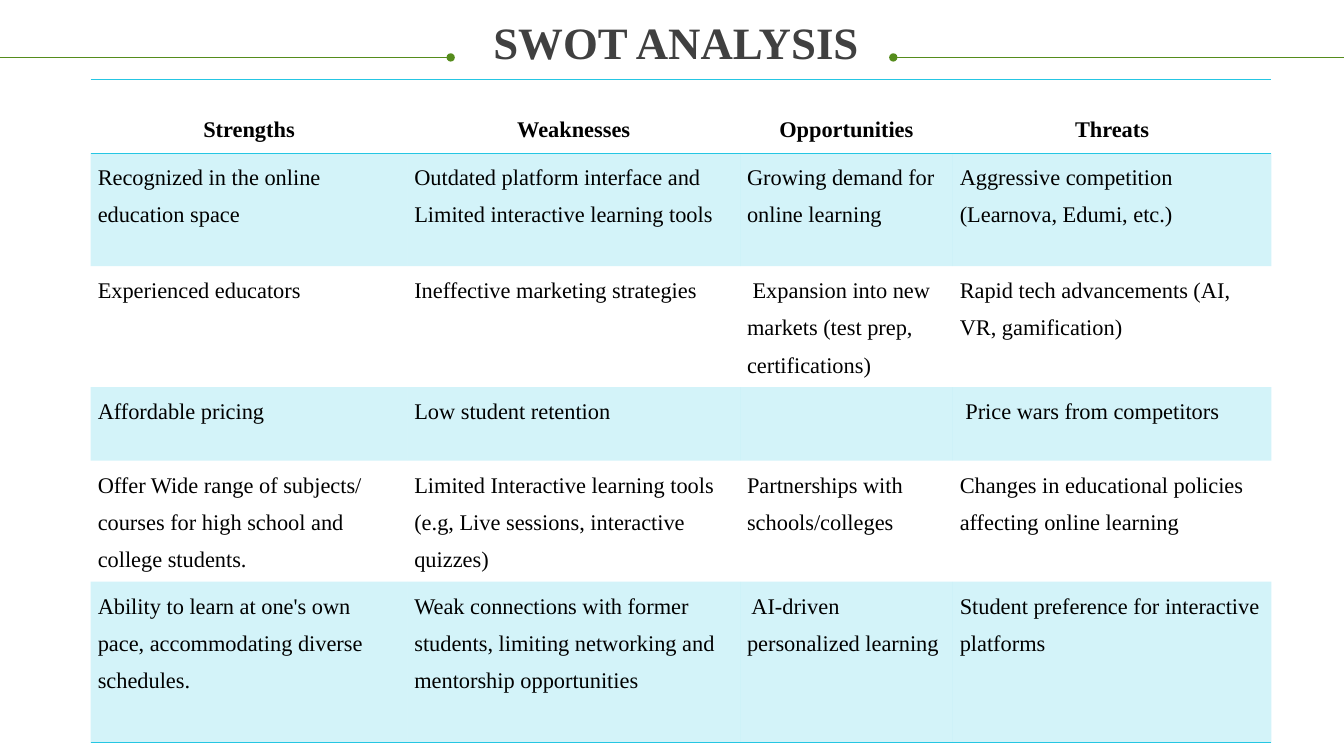
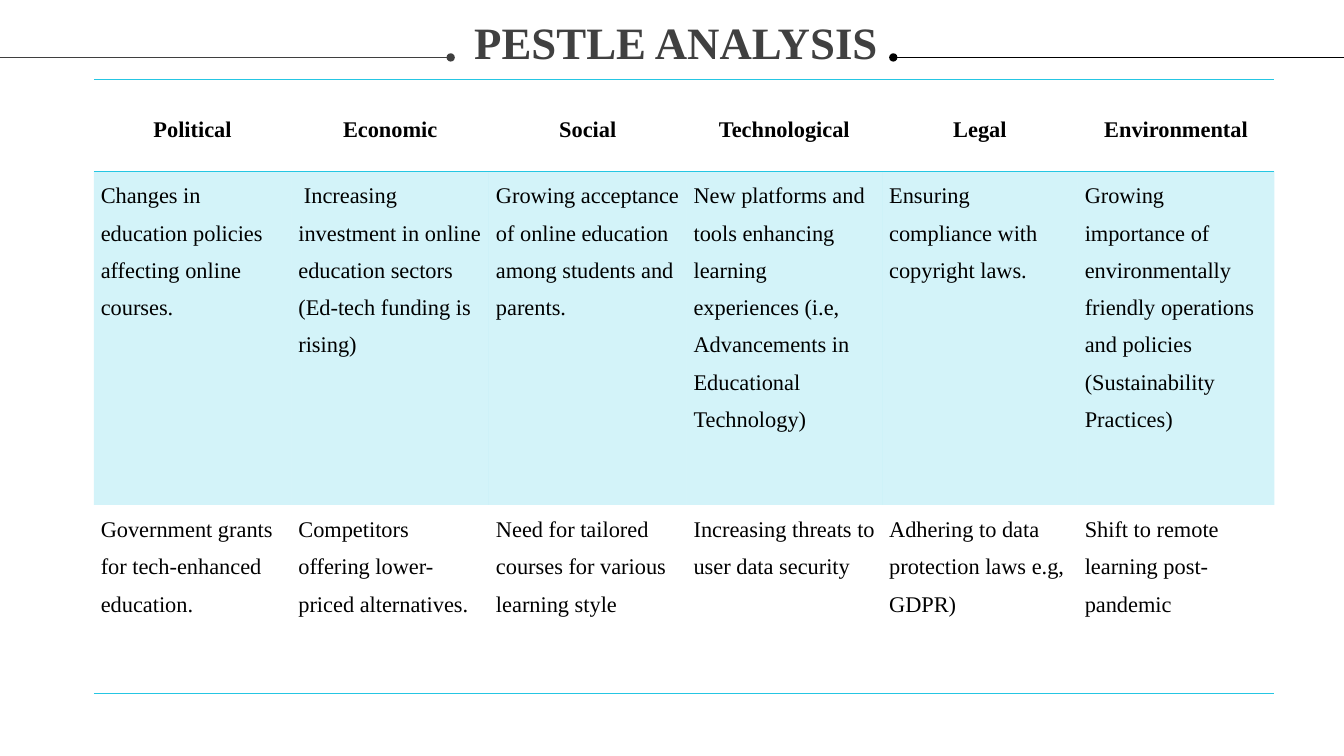
from lxml import etree
from pptx import Presentation
from pptx.dml.color import RGBColor
from pptx.enum.shapes import MSO_CONNECTOR
from pptx.enum.text import PP_ALIGN
from pptx.oxml.ns import qn
from pptx.util import Inches, Pt

STRAIGHT = MSO_CONNECTOR.STRAIGHT
LEFT, CENTER = PP_ALIGN.LEFT, PP_ALIGN.CENTER

BLACK = RGBColor(0x00, 0x00, 0x00)
CHARCOAL = RGBColor(0x3F, 0x3F, 0x3F)
TITLE_GRAY = RGBColor(0x40, 0x40, 0x40)
GREEN = RGBColor(0x55, 0x8C, 0x1C)
CYAN = RGBColor(0x25, 0xC6, 0xE3)

FONT = "Times New Roman"
NO_STYLE = "{2D5ABB26-0587-4C30-8999-92F81FD0307C}"
BAND_ALPHA = "20000"
SLIDE_W, SLIDE_H = 13.33, 7.5
RULE_Y, RULE_W = 0.57, 4.47
TABLE_TOP = 0.79

SWOT = [
    ["Strengths", "Weaknesses", "Opportunities", "Threats"],
    ["Recognized in the online education space",
     "Outdated platform interface and Limited interactive learning tools",
     "Growing demand for online learning",
     "Aggressive competition (Learnova, Edumi, etc.)"],
    ["Experienced educators",
     "Ineffective marketing strategies",
     " Expansion into new markets (test prep, certifications)",
     "Rapid tech advancements (AI, VR, gamification)"],
    ["Affordable pricing", "Low student retention", "",
     " Price wars from competitors"],
    ["Offer Wide range of subjects/ courses for high school and college students.",
     "Limited Interactive learning tools (e.g, Live sessions, interactive quizzes)",
     "Partnerships with schools/colleges",
     "Changes in educational policies affecting online learning"],
    ["Ability to learn at one's own pace, accommodating diverse schedules.",
     "Weak connections with former students, limiting networking and "
     "mentorship opportunities",
     " AI-driven personalized learning",
     "Student preference for interactive platforms"],
]

PESTLE = [
    ["Political", "Economic", "Social", "Technological", "Legal", "Environmental"],
    ["Changes in education policies affecting online courses.",
     " Increasing investment in online education sectors (Ed-tech funding is rising)",
     "Growing acceptance of online education among students and parents.",
     "New platforms and tools enhancing learning experiences (i.e, "
     "Advancements in Educational Technology)",
     "Ensuring compliance with copyright laws.",
     "Growing importance of environmentally friendly operations and policies "
     "(Sustainability Practices)"],
    ["Government grants for tech-enhanced education.",
     "Competitors offering lower-priced alternatives.",
     "Need for tailored courses for various learning style",
     "Increasing threats to user data security",
     "Adhering to data protection laws e.g, GDPR)",
     "Shift to remote learning post-pandemic"],
]


def write(tf, text, size=16, color=BLACK, bold=False, align=LEFT, spacing=1.5):
    """Put one formatted paragraph in a text frame."""
    p = tf.paragraphs[0]
    p.alignment = align
    p.line_spacing = spacing
    r = p.add_run()
    r.text = text
    r.font.name = FONT
    r.font.size = Pt(size)
    r.font.bold = bold
    r.font.color.rgb = color


def add_rule(s, x_edge, x_dot, color):
    """Draw a line from the slide edge to a dot beside the title."""
    line = s.shapes.add_connector(STRAIGHT, Inches(x_edge), Inches(RULE_Y),
                                  Inches(x_dot), Inches(RULE_Y))
    line.line.color.rgb = color
    line.line.width = Pt(0.5)
    etree.SubElement(line.line._get_or_add_ln(), qn("a:tailEnd"), type="oval")
    etree.SubElement(line._element.spPr, qn("a:effectLst"))


def add_title(s, text, left_color, right_color):
    """Add the centred title between its two dotted rules."""
    add_rule(s, 0, RULE_W, left_color)
    add_rule(s, SLIDE_W, SLIDE_W - RULE_W, right_color)
    box = s.shapes.add_textbox(Inches(0.29), Inches(0.21), Inches(12.83), Inches(0.5))
    tf = box.text_frame
    tf.word_wrap = True
    tf.margin_left = tf.margin_top = tf.margin_right = tf.margin_bottom = 0
    write(tf, text, size=32, color=TITLE_GRAY, bold=True, align=CENTER, spacing=0.9)


def add_border(cell, side):
    """Draw a cyan border on one side of a cell: lnT or lnB."""
    ln = etree.SubElement(cell._tc.get_or_add_tcPr(), qn("a:" + side), w=str(Pt(1)))
    fill = etree.SubElement(ln, qn("a:solidFill"))
    etree.SubElement(fill, qn("a:srgbClr"), val=str(CYAN))


def fill_cell(cell, banded):
    """Tint the cell, or leave it clear."""
    if not banded:
        cell.fill.background()
        return
    cell.fill.solid()
    cell.fill.fore_color.rgb = CYAN
    color = cell._tc.tcPr.find(".//" + qn("a:solidFill") + "/" + qn("a:srgbClr")) \
        if cell._tc.tcPr.find(qn("a:lnB")) is None \
        else cell._tc.tcPr.find(qn("a:solidFill") + "/" + qn("a:srgbClr"))
    etree.SubElement(color, qn("a:alpha"), val=BAND_ALPHA)


def add_grid(s, left, widths, heights, rows):
    """Add a table with a bold header, tinted odd rows and cyan rules."""
    frame = s.shapes.add_table(len(rows), len(widths), Inches(left), Inches(TABLE_TOP),
                               Inches(sum(widths)), Inches(sum(heights)))
    table = frame.table
    table.first_row = table.horz_banding = False
    table._tbl.tblPr.find(qn("a:tableStyleId")).text = NO_STYLE
    for column, width in zip(table.columns, widths):
        column.width = Inches(width)
    for i, (height, texts) in enumerate(zip(heights, rows)):
        table.rows[i].height = Inches(height)
        header = i == 0
        for j, text in enumerate(texts):
            cell = table.cell(i, j)
            cell.margin_left = cell.margin_right = Inches(0.07)
            cell.margin_top = Inches(0.25 if header else 0)
            cell.margin_bottom = 0
            if header:
                add_border(cell, "lnT")
            if header or i == len(rows) - 1:
                add_border(cell, "lnB")
            fill_cell(cell, banded=i % 2 == 1)
            if text:
                write(cell.text_frame, text, bold=header,
                      align=CENTER if header else LEFT)


def main():
    prs = Presentation()
    prs.slide_width, prs.slide_height = Inches(SLIDE_W), Inches(SLIDE_H)
    blank = prs.slide_layouts[6]

    # SWOT
    s = prs.slides.add_slide(blank)
    add_title(s, "SWOT ANALYSIS", GREEN, GREEN)
    add_grid(s, 0.9, [3.14, 3.3, 2.11, 3.16], [0.73, 1.12, 1.2, 0.73, 1.2, 1.6], SWOT)

    # PESTLE
    s = prs.slides.add_slide(blank)
    add_title(s, "PESTLE ANALYSIS", CHARCOAL, BLACK)
    add_grid(s, 0.93, [1.96] * 3 + [1.94] * 2 + [1.95], [0.91, 3.31, 1.87], PESTLE)

    prs.save("out.pptx")


if __name__ == "__main__":
    main()
